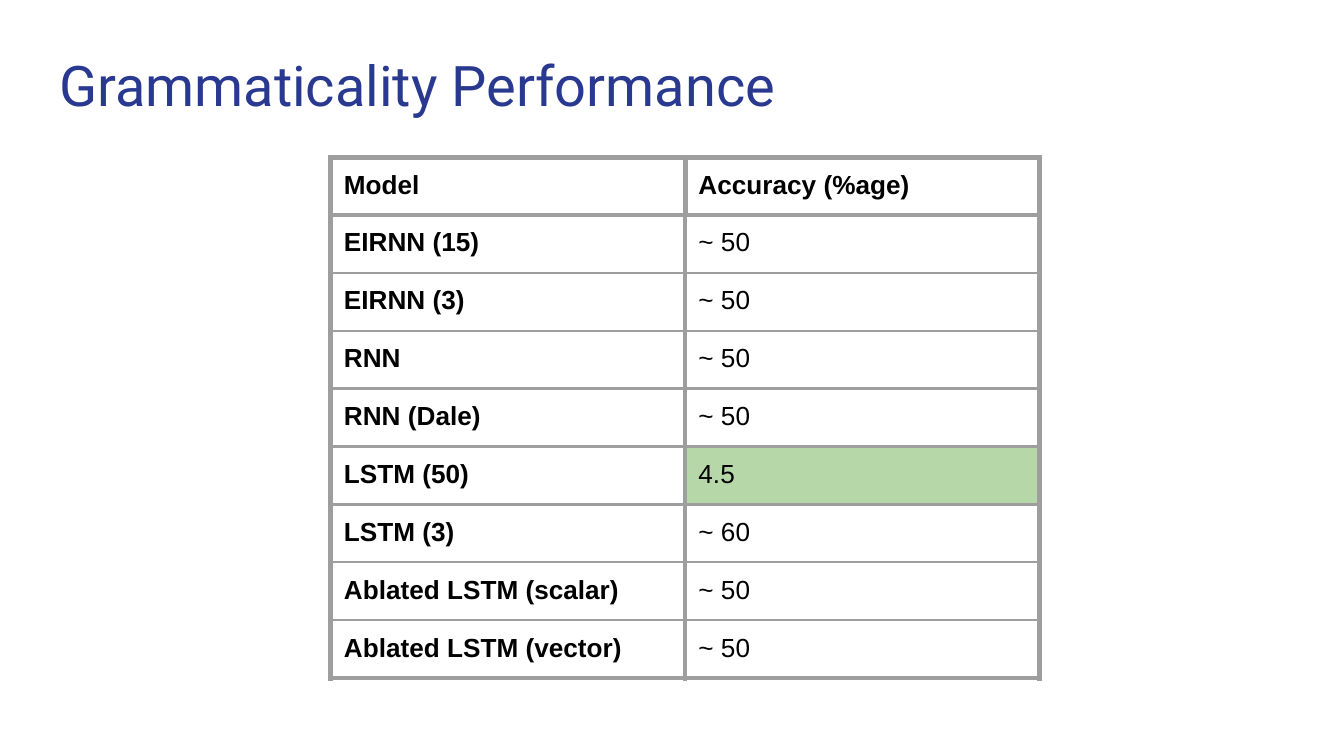
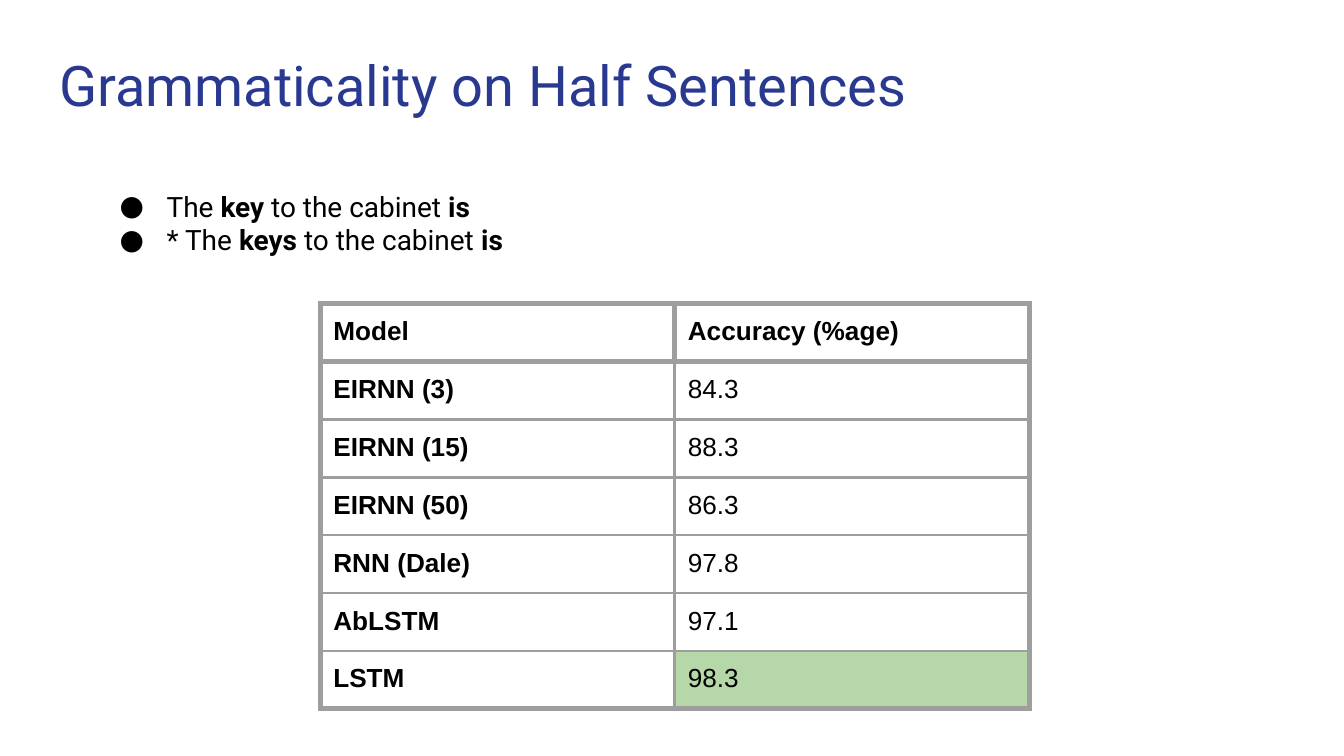
from lxml.etree import SubElement
from pptx import Presentation
from pptx.dml.color import RGBColor
from pptx.oxml.ns import qn
from pptx.util import Cm, Pt

# Content
HEADER = ("Model", "Accuracy (%age)")
SLIDES = [
    {
        "title": "Grammaticality Performance",
        "bullets": [],
        "rows": [
            ("EIRNN (15)", "~ 50"),
            ("EIRNN (3)", "~ 50"),
            ("RNN", "~ 50"),
            ("RNN (Dale)", "~ 50"),
            ("LSTM (50)", "4.5"),
            ("LSTM (3)", "~ 60"),
            ("Ablated LSTM (scalar)", "~ 50"),
            ("Ablated LSTM (vector)", "~ 50"),
        ],
        "highlight": "LSTM (50)",
        "table_at": (Cm(6.25), Cm(2.97)),
    },
    {
        "title": "Grammaticality on Half Sentences",
        # Bold words stand at the odd places
        "bullets": [
            ("The ", "key", " to the cabinet ", "is"),
            ("* The ", "keys", " to the cabinet ", "is"),
        ],
        "rows": [
            ("EIRNN (3)", "84.3"),
            ("EIRNN (15)", "88.3"),
            ("EIRNN (50)", "86.3"),
            ("RNN (Dale)", "97.8"),
            ("AbLSTM", "97.1"),
            ("LSTM", "98.3"),
        ],
        "highlight": "LSTM",
        "table_at": (Cm(6.05), Cm(5.74)),
    },
]

# Shared look
BLUE = RGBColor(0x2A, 0x39, 0x90)
BLACK = RGBColor(0, 0, 0)
WHITE = RGBColor(255, 255, 255)
GREEN = RGBColor(0xB6, 0xD7, 0xA8)
GREY = RGBColor(0x9E, 0x9E, 0x9E)
TITLE_FORMAT = {"name": "Roboto", "size": Pt(30), "bold": False}
BULLET_FORMAT = {"name": "Roboto", "size": Pt(15), "bold": False}
CELL_FORMAT = {"name": "Arial", "size": Pt(14), "bold": False}
THICK, MIDDLE, THIN = Pt(3), Pt(2.25), Pt(1.5)
INSET = Cm(0.25)
COLUMN_WIDTH, ROW_HEIGHT = Cm(6.7), Cm(1.06)
TITLE_AREA = (Cm(0.87), Cm(0.71), Cm(23.67), Cm(1.68))
BULLET_AREA = (Cm(1.63), Cm(3.33), Cm(22.63), Cm(1.88))
BULLET_INDENT, BULLET_HANG = Cm(1.27), Cm(0.89)


def add_span(para, text, font_format, colour, **changes):
    span = para.add_run()
    span.text = text
    for name, value in {**font_format, **changes}.items():
        setattr(span.font, name, value)
    span.font.color.rgb = colour


def set_margins(holder):
    for side in ("left", "top", "right", "bottom"):
        setattr(holder, f"margin_{side}", INSET)


def add_box(page, area):
    frame = page.shapes.add_textbox(*area).text_frame
    frame.word_wrap = True
    set_margins(frame)
    return frame


def add_bullet(para):
    props = para._p.get_or_add_pPr()
    props.set("marL", str(BULLET_INDENT))
    props.set("indent", str(-BULLET_HANG))
    colour = SubElement(props, qn("a:buClr"))
    SubElement(colour, qn("a:srgbClr"), val=str(BLACK))
    SubElement(props, qn("a:buFont"), typeface="Roboto")
    SubElement(props, qn("a:buChar"), char="●")


def set_borders(cell, widths):
    props = cell._tc.get_or_add_tcPr()
    for place, (side, width) in enumerate(widths.items()):
        line = SubElement(props, qn(f"a:ln{side}"), w=str(width))
        fill = SubElement(line, qn("a:solidFill"))
        SubElement(fill, qn("a:srgbClr"), val=str(GREY))
        props.insert(place, line)


def add_results(page, rows, highlight, position):
    lines = [HEADER, *rows]
    last_row, last_column = len(lines) - 1, len(HEADER) - 1
    table = page.shapes.add_table(
        len(lines), len(HEADER), *position,
        COLUMN_WIDTH * len(HEADER), ROW_HEIGHT * len(lines)).table
    table.first_row = table.horz_banding = False
    for column in table.columns:
        column.width = COLUMN_WIDTH
    for i, line in enumerate(lines):
        table.rows[i].height = ROW_HEIGHT
        for j, text in enumerate(line):
            cell = table.cell(i, j)
            set_margins(cell)
            add_span(cell.text_frame.paragraphs[0], text, CELL_FORMAT, BLACK,
                     bold=i == 0 or j == 0)
            cell.fill.solid()
            marked = j == last_column and line[0] == highlight
            cell.fill.fore_color.rgb = GREEN if marked else WHITE
            # Thick frame and header, thinner lines inside
            inner = THICK if i == 0 else MIDDLE
            set_borders(cell, {
                "L": THICK if j == 0 else inner,
                "R": THICK if j == last_column else inner,
                "T": THICK if i <= 1 else THIN,
                "B": THICK if i in (0, last_row) else THIN,
            })


def add_page(deck, content):
    page = deck.slides.add_slide(deck.slide_layouts[6])
    page.background.fill.solid()
    page.background.fill.fore_color.rgb = WHITE
    title = add_box(page, TITLE_AREA)
    add_span(title.paragraphs[0], content["title"], TITLE_FORMAT, BLUE)
    add_results(page, content["rows"], content["highlight"], content["table_at"])
    if content["bullets"]:
        box = add_box(page, BULLET_AREA)
        for i, parts in enumerate(content["bullets"]):
            para = box.add_paragraph() if i else box.paragraphs[0]
            add_bullet(para)
            for j, text in enumerate(parts):
                add_span(para, text, BULLET_FORMAT, BLACK, bold=j % 2 == 1)


def main():
    deck = Presentation()
    deck.slide_width, deck.slide_height = Cm(25.4), Cm(14.29)
    for content in SLIDES:
        add_page(deck, content)
    deck.save("out.pptx")


if __name__ == "__main__":
    main()
